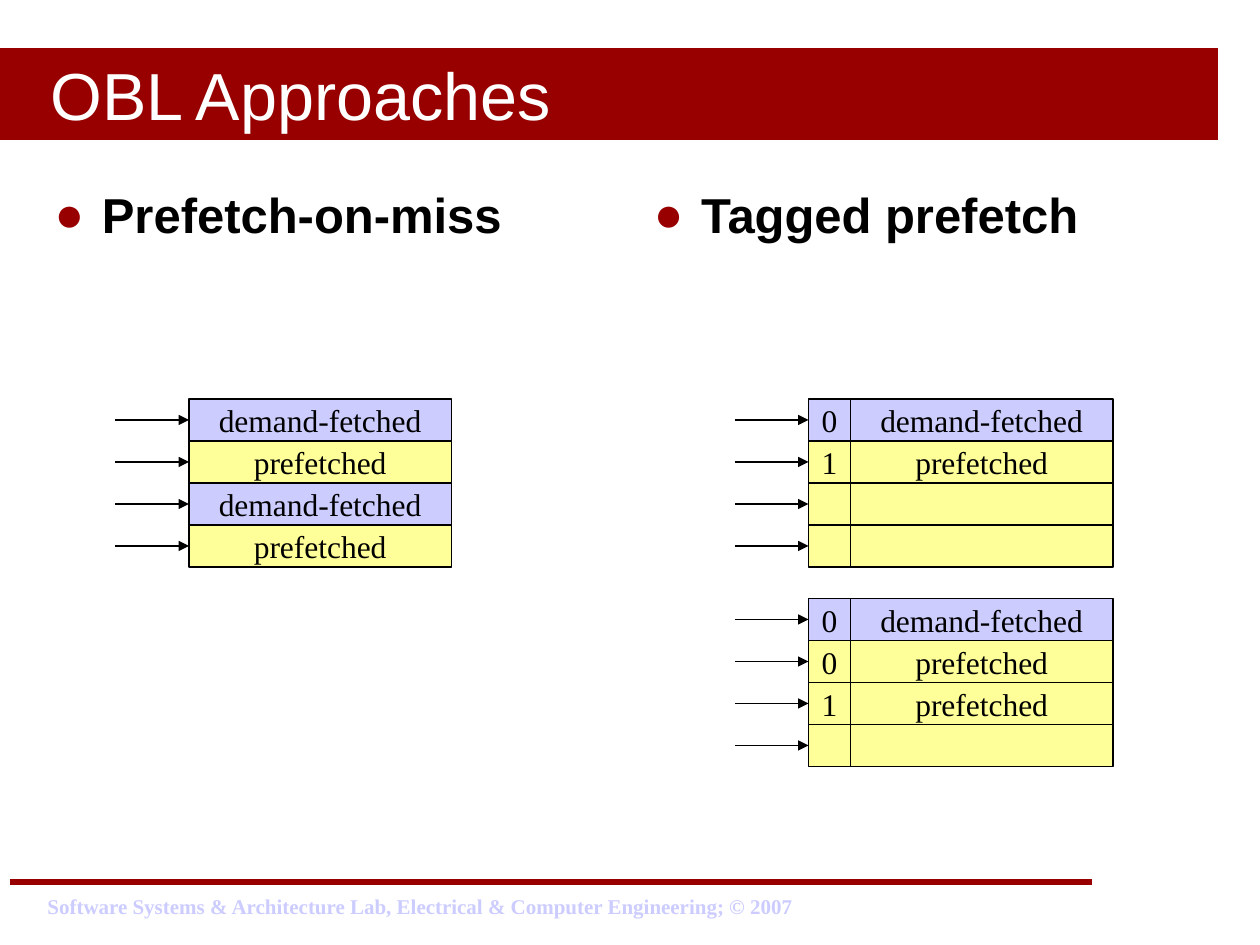
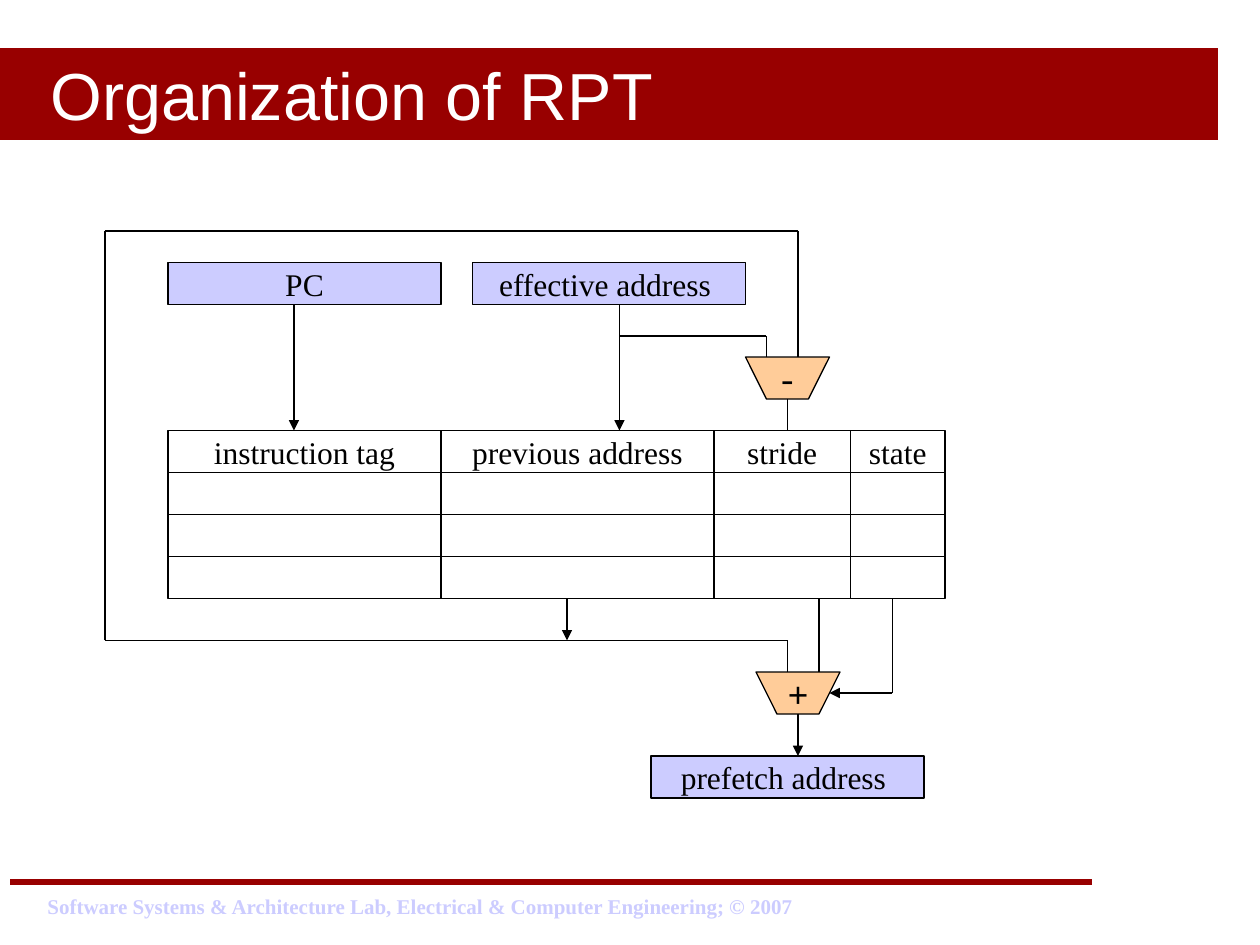
import pptx
import pptx.util
import pptx.dml.color
import pptx.enum.shapes
import pptx.enum.text
import pptx.oxml
import pptx.oxml.ns
from lxml import etree

Pt = pptx.util.Pt
ALIGN = pptx.enum.text.PP_ALIGN
ANCHOR = pptx.enum.text.MSO_ANCHOR

COLORS = {
    "red": "980000", "white": "FFFFFF", "black": "000000",
    "lavender": "CCCCFF", "yellow": "FFFF99", "orange": "FFCC99",
}
FOOTER = "Software Systems & Architecture Lab, Electrical & Computer Engineering; © 2007"

ROW_HEIGHT = 24
ARROW_LENGTH = 42
FLAG_WIDTH = 24
BLOCK_WIDTH = 150
REGISTER_WIDTH = 156

APPROACHES = [("Prefetch-on-miss", 24, 85.5), ("Tagged prefetch", 366.5, 78)]
CACHES = [
    (66, 228, [["demand-fetched"], ["prefetched"], ["demand-fetched"], ["prefetched"]]),
    (420, 228, [["0", "demand-fetched"], ["1", "prefetched"], ["", ""], ["", ""]]),
    (420, 342, [["0", "demand-fetched"], ["0", "prefetched"], ["1", "prefetched"], ["", ""]]),
]

REGISTERS = [("PC", 96, 150), ("effective address ", 270, 150), ("prefetch address ", 372, 432)]
RPT_LEFT, RPT_TOP, RPT_ROWS = 96, 246, 4
RPT_COLUMNS = [("instruction tag", 156), ("previous address", 156), ("stride", 78), ("state", 54)]
OPERATORS = [("-", 426, 204), ("+", 432, 384)]
OPERATOR_OUTLINE = [(0, 0), (12, 24), (36, 24), (48, 0)]
ARROWS = [
    [(168, 174), (168, 246)],
    [(354, 174), (354, 246)],
    [(324, 342), (324, 366)],
    [(456, 408), (456, 432)],
    [(510, 342), (510, 396), (474, 396)],
]
WIRES = [
    [(354, 192), (438, 192), (438, 204)],
    [(450, 228), (450, 246)],
    [(468, 342), (468, 384)],
    [(450, 384), (450, 366), (60, 366), (60, 132), (456, 132), (456, 204)],
]


def rgb(name):
    return pptx.dml.color.RGBColor.from_string(COLORS[name])


def add_element(parent, tag, **attributes):
    element = etree.SubElement(parent, pptx.oxml.ns.qn(tag))
    for name, value in attributes.items():
        element.set(name, value)
    return element


def write_text(shape, text, size=18, font="Times New Roman", color="black", bold=False,
               align=ALIGN.CENTER, anchor=ANCHOR.MIDDLE, wrap=False, left_inset=7.2, bullet=None):
    frame = shape.text_frame
    frame.auto_size = pptx.enum.text.MSO_AUTO_SIZE.NONE
    frame.word_wrap = wrap
    frame.vertical_anchor = anchor
    frame.margin_left = Pt(left_inset)
    paragraph = frame.paragraphs[0]
    paragraph.alignment = align
    paragraph.space_before = Pt(0)
    if bullet:
        properties = paragraph._p.get_or_add_pPr()
        properties.set("marL", str(Pt(27)))
        properties.set("indent", str(-Pt(27)))
        bullet_color = add_element(properties, "a:buClr")
        add_element(bullet_color, "a:srgbClr", val=COLORS["red"])
        add_element(properties, "a:buFont", typeface=font)
        add_element(properties, "a:buChar", char=bullet)
    run = paragraph.add_run()
    run.text = text
    run.font.size = Pt(size)
    run.font.name = font
    run.font.bold = bold
    run.font.color.rgb = rgb(color)


def place(shape, left, top, width, height):
    shape.left, shape.top, shape.width, shape.height = map(Pt, (left, top, width, height))


def style_box(shape, fill):
    shape.shadow.inherit = False
    if fill:
        shape.fill.solid()
        shape.fill.fore_color.rgb = rgb(fill)
    else:
        shape.fill.background()
    shape.line.color.rgb = rgb("black")
    shape.line.width = Pt(0.75)


def add_box(slide, text, left, top, width, fill=None):
    box = slide.shapes.add_shape(pptx.enum.shapes.MSO_SHAPE.RECTANGLE,
                                 Pt(left), Pt(top), Pt(width), Pt(ROW_HEIGHT))
    style_box(box, fill)
    if text:
        write_text(box, text)
    return box


def add_line(slide, start, end, color="black", width=0.75, arrow=False):
    line = slide.shapes.add_connector(pptx.enum.shapes.MSO_CONNECTOR.STRAIGHT,
                                      *map(Pt, (*start, *end)))
    line.line.color.rgb = rgb(color)
    line.line.width = Pt(width)
    if arrow:
        add_element(line.line._get_or_add_ln(), "a:tailEnd", type="triangle")
    add_element(line.element.spPr, "a:effectLst")
    return line


def add_route(slide, points, arrow=False):
    last = len(points) - 2
    for index, (start, end) in enumerate(zip(points, points[1:])):
        add_line(slide, start, end, arrow=arrow and index == last)


def add_operator(slide, symbol, left, top):
    points = [(Pt(left + x), Pt(top + y)) for x, y in OPERATOR_OUTLINE]
    builder = slide.shapes.build_freeform(*points[0])
    builder.add_line_segments(points[1:], close=True)
    operator = builder.convert_to_shape()
    style_box(operator, "orange")
    write_text(operator, symbol, size=20, font="Courier New")


def add_master_footer(presentation, slide):
    rule = add_line(slide, (6, 504), (624, 504), color="red", width=3)
    footer = slide.shapes.add_textbox(Pt(20), Pt(507), Pt(442), Pt(21.6))
    write_text(footer, FOOTER, size=12, color="lavender", bold=True,
               align=ALIGN.LEFT, anchor=ANCHOR.TOP)
    for number, shape in enumerate((rule, footer), start=101):
        shape.element.xpath(".//p:cNvPr")[0].set("id", str(number))
        presentation.slide_master.shapes.element.append(shape.element)


def add_slide(presentation, layout_name, title):
    slide = presentation.slides.add_slide(presentation.slide_layouts.get_by_name(layout_name))
    band = slide.shapes.title
    place(band, 0, 27.5, 696, 52.5)
    band.fill.solid()
    band.fill.fore_color.rgb = rgb("red")
    write_text(band, title, size=38, font="Arial", color="white",
               align=ALIGN.LEFT, wrap=True, left_inset=28.8)
    return slide


def add_cache(slide, left, top, rows):
    for index, cells in enumerate(rows):
        row_top = top + index * ROW_HEIGHT
        fill = "lavender" if cells[-1] == "demand-fetched" else "yellow"
        cell_left = left + ARROW_LENGTH
        boxes = []
        for text, width in zip(cells, (FLAG_WIDTH, BLOCK_WIDTH)[-len(cells):]):
            boxes.append(add_box(slide, text, cell_left, row_top, width, fill))
            cell_left += width
        middle = row_top + ROW_HEIGHT / 2
        arrow = add_line(slide, (left, middle), (left + ARROW_LENGTH, middle), arrow=True)
        arrow.end_connect(boxes[0], 1)


def build_approaches(presentation):
    slide = add_slide(presentation, "Two Content", "OBL Approaches")
    add_master_footer(presentation, slide)
    bodies = list(slide.placeholders)[1:]
    for body, (text, left, height) in zip(bodies, APPROACHES):
        place(body, left, 102, 330, height)
        write_text(body, text, size=28, font="Arial", bold=True, align=ALIGN.LEFT,
                   anchor=ANCHOR.TOP, wrap=True, bullet="●")
    for left, top, rows in CACHES:
        add_cache(slide, left, top, rows)


def build_table_organization(presentation):
    slide = add_slide(presentation, "Title Only", "Organization of RPT")
    for text, left, top in REGISTERS:
        add_box(slide, text, left, top, REGISTER_WIDTH, "lavender")
    for row in range(RPT_ROWS):
        left = RPT_LEFT
        for heading, width in RPT_COLUMNS:
            add_box(slide, "" if row else heading, left, RPT_TOP + row * ROW_HEIGHT, width)
            left += width
    for symbol, left, top in OPERATORS:
        add_operator(slide, symbol, left, top)
    for points in WIRES:
        add_route(slide, points)
    for points in ARROWS:
        add_route(slide, points, arrow=True)


def main():
    presentation = pptx.Presentation()
    presentation.slide_width, presentation.slide_height = Pt(720), Pt(540)
    build_approaches(presentation)
    build_table_organization(presentation)
    presentation.save("out.pptx")


if __name__ == "__main__":
    main()
